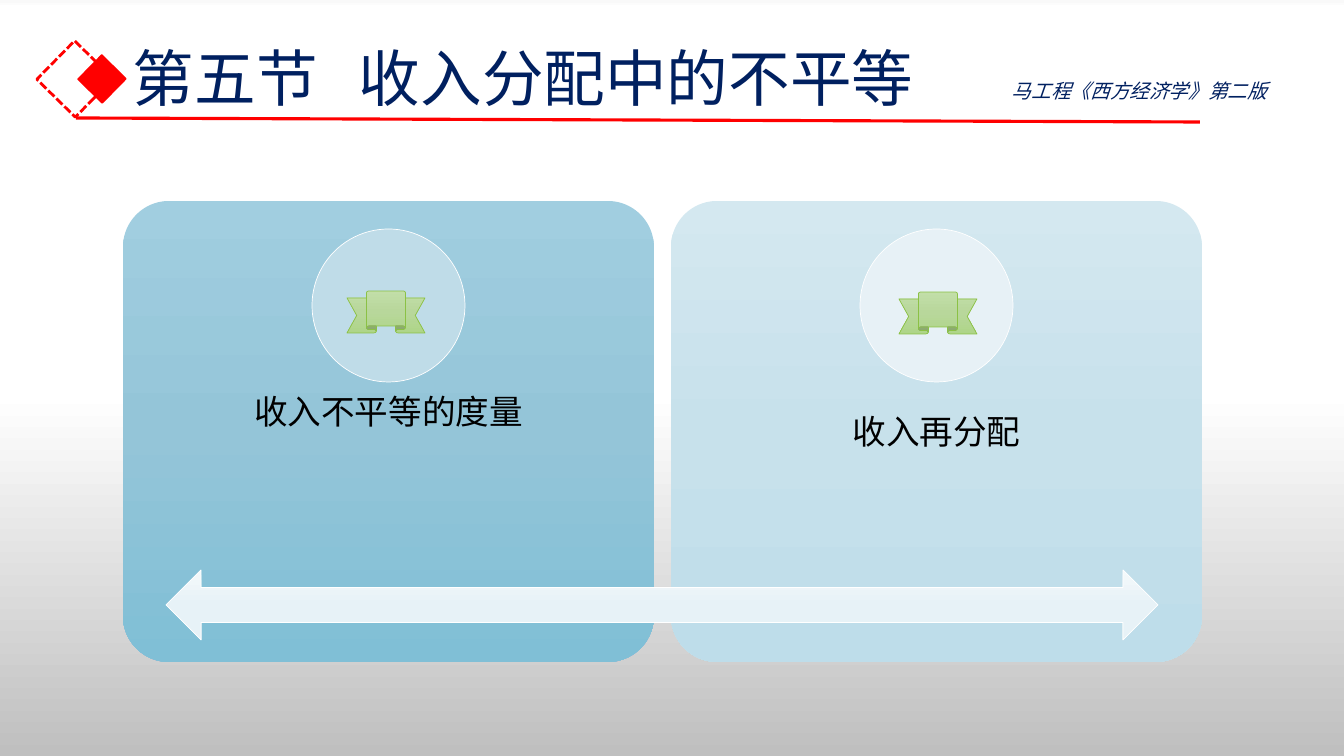
"""Build the section slide on inequality in income distribution."""
from lxml import etree
from pptx import Presentation
from pptx.dml.color import RGBColor
from pptx.enum.dml import MSO_LINE
from pptx.enum.shapes import MSO_CONNECTOR, MSO_SHAPE
from pptx.enum.text import MSO_ANCHOR, PP_ALIGN
from pptx.oxml.ns import qn
from pptx.util import Pt

ROUNDED, ELLIPSE, RECTANGLE = MSO_SHAPE.ROUNDED_RECTANGLE, MSO_SHAPE.OVAL, MSO_SHAPE.RECTANGLE
ARROW, RIBBON = MSO_SHAPE.LEFT_RIGHT_ARROW, MSO_SHAPE.UP_RIBBON
DASH, STRAIGHT = MSO_LINE.SQUARE_DOT, MSO_CONNECTOR.STRAIGHT
MIDDLE, TOP = MSO_ANCHOR.MIDDLE, MSO_ANCHOR.TOP
CENTER, LEFT = PP_ALIGN.CENTER, PP_ALIGN.LEFT

FONT = "Noto Sans CJK SC"
COLORS = {"navy": "002060", "red": "FF0000", "black": "000000", "white": "FFFFFF", "green": "8BC145"}
GRADIENTS = {
    "background": [(0, "F9F9F9"), (1, "FFFFFF"), (52, "FFFFFF"), (100, "BFBFBF")],
    "arrow": [(0, "F4F9FB"), (50, "E7F2F7"), (100, "E4F0F6")],
    "ribbon": [(0, "C2DEA8"), (50, "B8D79B"), (100, "AED588")],
}

TITLE = "第五节\t收入分配中的不平等"
TITLE_TAB = 226
SOURCE = "马工程《西方经济学》第二版"
CARDS = [
    {"text": "收入不平等的度量", "gradient": [(0, "A1CEE0"), (50, "94C5D8"), (100, "80BFD6")],
     "circle": "BFDCE8", "bottom": 59, "ribbon": (347, 291)},
    {"text": "收入再分配", "gradient": [(0, "D4E8F0"), (50, "C7E1EB"), (100, "BEDDEA")],
     "circle": "E7F1F6", "bottom": 19, "ribbon": (899, 292)},
]
CARD_LEFT, CARD_TOP, CARD_WIDTH, CARD_HEIGHT, CARD_GAP = 123, 201, 531, 461, 17
CIRCLE_TOP, CIRCLE_SIZE = 229, 153
RIBBON_SIZE = (78, 42)
ARROW_BOX = (166, 570, 992, 70)
SQUARES = [
    {"box": (48, 52, 54, 54), "line": COLORS["red"], "width": 2, "dash": DASH},
    {"box": (85, 62, 34, 34), "fill": COLORS["red"], "line": COLORS["red"], "width": 1},
]
SQUARE_ROTATION = 314.5
RULE = (76, 118, 1200, 122)

SLIDE_WIDTH, SLIDE_HEIGHT = 1344, 756
SCALE = 12192000 / SLIDE_WIDTH


def px(*lengths):
    return [round(length * SCALE) for length in lengths]


def apply(target, values):
    for name, value in values.items():
        setattr(target, name, value)


def paint_gradient(fill, element, stops):
    fill.gradient()
    fill.gradient_angle = 270
    stop_list = element.find(".//" + qn("a:gsLst"))
    for stop in list(stop_list):
        stop_list.remove(stop)
    for position, color in stops:
        stop = etree.SubElement(stop_list, qn("a:gs"), pos=str(position * 1000))
        etree.SubElement(stop, qn("a:srgbClr"), val=color)


def style_line(line, color, width, dash=None):
    line.color.rgb = RGBColor.from_string(color)
    line.width = Pt(width)
    if dash:
        line.dash_style = dash


def add_shape(slide, kind, box, fill=None, line=None, width=0.5, dash=None):
    shape = slide.shapes.add_shape(kind, *px(*box))
    shape.shadow.inherit = False
    if isinstance(fill, list):
        paint_gradient(shape.fill, shape._element.spPr, fill)
    elif fill:
        shape.fill.solid()
        shape.fill.fore_color.rgb = RGBColor.from_string(fill)
    else:
        shape.fill.background()
    if line:
        style_line(shape.line, line, width, dash)
    else:
        shape.line.fill.background()
    return shape


def write(shape, text, size, color, anchor=TOP, align=LEFT, spacing=1.0,
          italic=False, margins=None, tab=None):
    frame = shape.text_frame
    apply(frame, {"word_wrap": True, "vertical_anchor": anchor})
    if margins:
        names = ("margin_left", "margin_top", "margin_right", "margin_bottom")
        apply(frame, dict(zip(names, px(*margins))))
    paragraph = frame.paragraphs[0]
    apply(paragraph, {"alignment": align, "line_spacing": spacing})
    if tab:
        tabs = etree.SubElement(paragraph._p.get_or_add_pPr(), qn("a:tabLst"))
        etree.SubElement(tabs, qn("a:tab"), pos=str(px(tab)[0]), algn="l")
    run = paragraph.add_run()
    run.text = text
    apply(run.font, {"name": FONT, "size": Pt(size), "italic": italic})
    run.font.color.rgb = RGBColor.from_string(color)
    etree.SubElement(run._r.get_or_add_rPr(), qn("a:ea"), typeface=FONT)


def add_text(slide, box, *content, **values):
    write(slide.shapes.add_textbox(*px(*box)), *content, **values)


def add_card(slide, index, card):
    left = CARD_LEFT + index * (CARD_WIDTH + CARD_GAP)
    panel = add_shape(slide, ROUNDED, (left, CARD_TOP, CARD_WIDTH, CARD_HEIGHT), card["gradient"])
    panel.adjustments[0] = 0.1
    write(panel, card["text"], 24, COLORS["black"], anchor=MIDDLE, align=CENTER,
          margins=(19, 19, 19, card["bottom"]))
    circle_left = left + (CARD_WIDTH - CIRCLE_SIZE) / 2
    add_shape(slide, ELLIPSE, (circle_left, CIRCLE_TOP, CIRCLE_SIZE, CIRCLE_SIZE),
              card["circle"], COLORS["white"])


def main():
    presentation = Presentation()
    presentation.slide_width, presentation.slide_height = px(SLIDE_WIDTH, SLIDE_HEIGHT)
    slide = presentation.slides.add_slide(presentation.slide_layouts[6])
    paint_gradient(slide.background.fill, slide._element, GRADIENTS["background"])

    add_text(slide, (123, 9, 1129, 146), TITLE, 44, COLORS["navy"],
             anchor=MIDDLE, spacing=0.9, tab=TITLE_TAB)
    for index, card in enumerate(CARDS):
        add_card(slide, index, card)
    add_shape(slide, ARROW, ARROW_BOX, GRADIENTS["arrow"], COLORS["white"])

    for square in SQUARES:
        values = dict(square)
        add_shape(slide, RECTANGLE, values.pop("box"), **values).rotation = SQUARE_ROTATION
    rule = slide.shapes.add_connector(STRAIGHT, *px(*RULE))
    style_line(rule.line, COLORS["red"], 2.25)
    etree.SubElement(rule._element.spPr, qn("a:effectLst"))
    add_text(slide, (1002, 74, 327, 34), SOURCE, 14, COLORS["navy"], italic=True)

    for card in CARDS:
        add_shape(slide, RIBBON, card["ribbon"] + RIBBON_SIZE, GRADIENTS["ribbon"], COLORS["green"])
    presentation.save("out.pptx")


if __name__ == "__main__":
    main()
